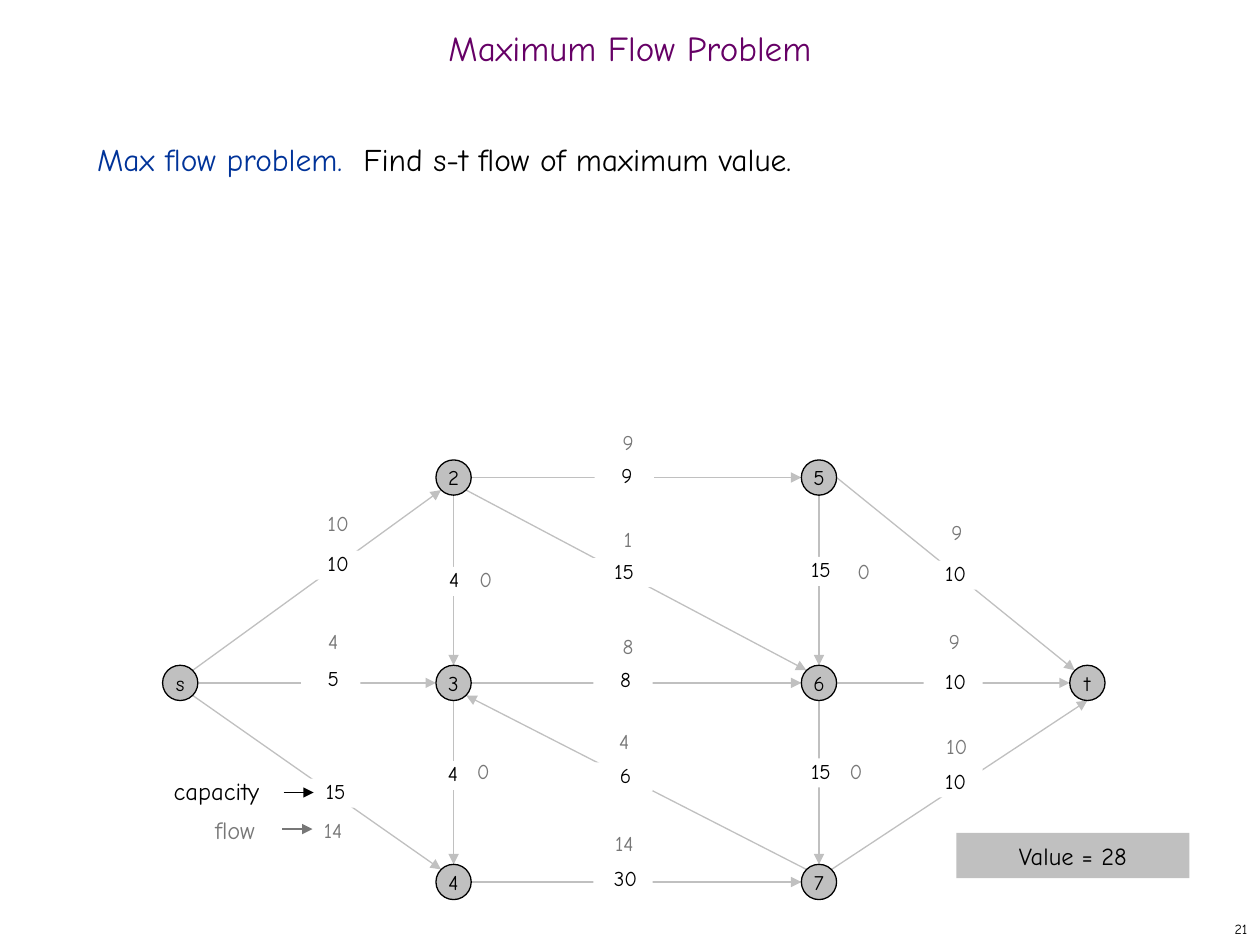
from typing import NamedTuple

from lxml import etree
from pptx import Presentation
from pptx.dml.color import RGBColor
from pptx.enum.shapes import MSO_CONNECTOR, MSO_SHAPE
from pptx.enum.text import MSO_ANCHOR, MSO_AUTO_SIZE, PP_ALIGN
from pptx.oxml.ns import qn
from pptx.util import Inches, Pt

FONT = "Comic Neue"
BLACK, WHITE = "000000", "FFFFFF"
SILVER, FLOW_GRAY = "C0C0C0", "777777"
PURPLE, BLUE = "660066", "003399"

RADIUS = 0.14
DIAGONAL = 0.1
SITES = {
    "N": (0, -RADIUS), "S": (0, RADIUS), "W": (-RADIUS, 0), "E": (RADIUS, 0),
    "NW": (-DIAGONAL, -DIAGONAL), "NE": (DIAGONAL, -DIAGONAL),
    "SW": (-DIAGONAL, DIAGONAL), "SE": (DIAGONAL, DIAGONAL),
}

COLUMNS = (1.43, 3.6, 6.5, 8.63)
TOP, MIDDLE, BOTTOM = 3.79, 5.42, 7.0
NODES = {
    "s": (COLUMNS[0], MIDDLE),
    "2": (COLUMNS[1], TOP), "3": (COLUMNS[1], MIDDLE), "4": (COLUMNS[1], BOTTOM),
    "5": (COLUMNS[2], TOP), "6": (COLUMNS[2], MIDDLE), "7": (COLUMNS[2], BOTTOM),
    "t": (COLUMNS[3], MIDDLE),
}


class Edge(NamedTuple):
    """A directed edge; label positions are left and top in inches."""
    tail: str
    tail_site: str
    head: str
    head_site: str
    capacity: int
    capacity_at: tuple
    flow: int
    flow_at: tuple
    indent: float = 0.04


EDGES = [
    Edge("s", "NE", "2", "SW", 10, (2.38, 4.37), 10, (2.5, 4.05), 0.14),
    Edge("s", "E", "3", "W", 5, (2.39, 5.28), 4, (2.46, 4.99)),
    Edge("s", "SE", "4", "NW", 15, (2.41, 6.18), 14, (2.46, 6.49)),
    Edge("2", "E", "5", "W", 9, (4.72, 3.67), 9, (4.8, 3.41)),
    Edge("2", "SE", "6", "NW", 15, (4.7, 4.43), 1, (4.8, 4.18)),
    Edge("2", "S", "3", "N", 4, (3.35, 4.5), 0, (3.67, 4.5)),
    Edge("3", "E", "6", "W", 8, (4.71, 5.29), 8, (4.8, 5.03)),
    Edge("3", "S", "4", "N", 4, (3.34, 6.04), 0, (3.65, 6.02)),
    Edge("4", "E", "7", "W", 30, (4.71, 6.87), 14, (4.77, 6.59)),
    Edge("7", "NW", "3", "SE", 6, (4.71, 6.05), 4, (4.77, 5.78)),
    Edge("5", "S", "6", "N", 15, (6.26, 4.42), 0, (6.67, 4.43)),
    Edge("6", "S", "7", "N", 15, (6.26, 6.02), 0, (6.61, 6.02)),
    Edge("5", "E", "t", "NW", 10, (7.28, 4.45), 9, (7.41, 4.12), 0.14),
    Edge("6", "E", "t", "W", 10, (7.33, 5.31), 9, (7.39, 4.99)),
    Edge("7", "NE", "t", "S", 10, (7.33, 6.1), 10, (7.41, 5.82)),
]


def color(hex_value):
    return RGBColor.from_string(hex_value)


def style_font(font, size, hex_value):
    font.name = FONT
    font.size = Pt(size)
    font.bold = False
    font.color.rgb = color(hex_value)


def place(shape, left, top, width, height):
    shape.left, shape.top = Inches(left), Inches(top)
    shape.width, shape.height = Inches(width), Inches(height)


def write(shape, text, size, hex_value, align=PP_ALIGN.CENTER,
          anchor=MSO_ANCHOR.TOP, margins=(0, 0, 0, 0), wrap=True):
    """Fill a shape with one paragraph; margins run left, top, right, bottom."""
    frame = shape.text_frame
    frame.word_wrap = wrap
    frame.auto_size = MSO_AUTO_SIZE.NONE
    frame.vertical_anchor = anchor
    (frame.margin_left, frame.margin_top,
     frame.margin_right, frame.margin_bottom) = map(Inches, margins)
    paragraph = frame.paragraphs[0]
    paragraph.text = text
    paragraph.alignment = align
    style_font(paragraph.font, size, hex_value)


def add_label(slide, box, text, size, hex_value, **layout):
    label = slide.shapes.add_textbox(*map(Inches, box))
    write(label, text, size, hex_value, **layout)


def add_filled(slide, kind, box, fill, line=None):
    shape = slide.shapes.add_shape(kind, *map(Inches, box))
    shape.shadow.inherit = False
    shape.fill.solid()
    shape.fill.fore_color.rgb = color(fill)
    if line:
        shape.line.color.rgb = color(line)
        shape.line.width = Pt(0.75)
    else:
        shape.line.fill.background()
    return shape


def add_arrow(slide, start, end, hex_value):
    arrow = slide.shapes.add_connector(
        MSO_CONNECTOR.STRAIGHT, *map(Inches, (*start, *end)))
    arrow.line.color.rgb = color(hex_value)
    arrow.line.width = Pt(0.75)
    properties = arrow._element.spPr
    etree.SubElement(properties.find(qn("a:ln")), qn("a:tailEnd"), type="triangle")
    etree.SubElement(properties, qn("a:effectLst"))


def site_point(node, site):
    (x, y), (dx, dy) = NODES[node], SITES[site]
    return x + dx, y + dy


def add_node(slide, name):
    x, y = NODES[name]
    box = (x - RADIUS, y - RADIUS, 2 * RADIUS, 2 * RADIUS)
    node = add_filled(slide, MSO_SHAPE.OVAL, box, SILVER, BLACK)
    write(node, name, 12, BLACK, anchor=MSO_ANCHOR.MIDDLE, wrap=False)


def add_edge_labels(slide, edge):
    """The capacity interrupts its edge with a white box; the flow stands beside."""
    capacity = add_filled(slide, MSO_SHAPE.RECTANGLE,
                          (*edge.capacity_at, 0.47, 0.23), WHITE)
    write(capacity, str(edge.capacity), 12, BLACK, margins=(edge.indent, 0, 0, 0))
    add_label(slide, (*edge.flow_at, 0.37, 0.19), str(edge.flow), 12, FLOW_GRAY)


def add_network(slide):
    for edge in EDGES:
        add_arrow(slide, site_point(edge.tail, edge.tail_site),
                  site_point(edge.head, edge.head_site), SILVER)
    for name in NODES:
        add_node(slide, name)
    for edge in EDGES:
        add_edge_labels(slide, edge)


def add_legend(slide):
    margins = (0.1, 0.05, 0.1, 0.05)
    for word, box, arrow_left, arrow_y, hex_value in (
            ("capacity", (1.28, 6.11, 0.95, 0.37), 2.25, 6.29, BLACK),
            ("flow", (1.61, 6.42, 0.59, 0.37), 2.24, 6.58, FLOW_GRAY)):
        add_label(slide, box, word, 14, hex_value, align=PP_ALIGN.LEFT,
                  margins=margins, wrap=False)
        add_arrow(slide, (arrow_left, arrow_y), (arrow_left + 0.24, arrow_y), hex_value)


def fill_title(title):
    place(title, 0, 0.17, 10, 0.5)
    write(title, "Maximum Flow Problem", 20, PURPLE,
          anchor=MSO_ANCHOR.MIDDLE, margins=(0.1, 0.05, 0.1, 0.05))
    title.text_frame.paragraphs[0].line_spacing = 0.7


def fill_statement(body):
    place(body, 0.67, 1, 8.58, 5.92)
    write(body, "", 18, BLACK, align=PP_ALIGN.LEFT, margins=(0.1, 0.05, 0.1, 0.05))
    statement = body.text_frame.paragraphs[0]
    statement.line_spacing = Pt(26)
    statement.space_before = Pt(0)
    properties = statement._p.get_or_add_pPr()
    properties.set("marL", "0")
    properties.set("indent", "0")
    bullet = etree.Element(qn("a:buNone"))
    properties.find(qn("a:defRPr")).addprevious(bullet)
    for text, hex_value in (("Max flow problem.  ", BLUE),
                            ("Find s-t flow of maximum value.", BLACK)):
        run = statement.add_run()
        run.text = text
        style_font(run.font, 18, hex_value)


def main():
    presentation = Presentation()
    presentation.slide_width, presentation.slide_height = Inches(10), Inches(7.5)
    slide = presentation.slides.add_slide(presentation.slide_layouts[1])
    fill_title(slide.shapes.title)
    fill_statement(slide.placeholders[1])
    add_network(slide)
    add_legend(slide)
    flow_value = add_filled(slide, MSO_SHAPE.RECTANGLE, (7.59, 6.61, 1.85, 0.36), SILVER)
    write(flow_value, "Value = 28", 14, BLACK, anchor=MSO_ANCHOR.MIDDLE)
    add_label(slide, (7.92, 7.25, 2.08, 0.25), "21", 8, BLACK, align=PP_ALIGN.RIGHT,
              anchor=MSO_ANCHOR.MIDDLE, margins=(0.1, 0.05, 0.1, 0.05))
    presentation.save("out.pptx")


if __name__ == "__main__":
    main()
